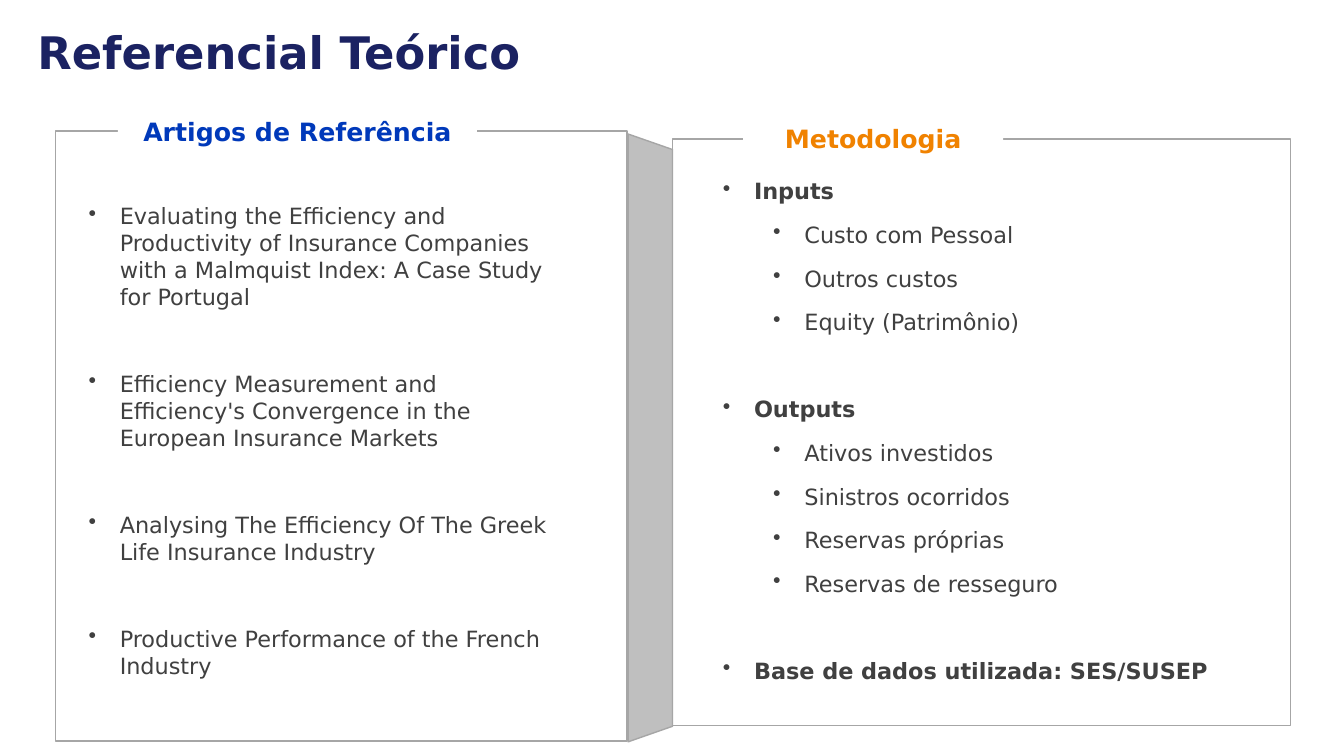
from dataclasses import dataclass

from lxml.etree import SubElement
from pptx import Presentation
from pptx.dml.color import RGBColor
from pptx.enum.shapes import MSO_SHAPE
from pptx.enum.text import MSO_ANCHOR, PP_ALIGN
from pptx.oxml.ns import qn
from pptx.util import Inches, Pt


@dataclass(frozen=True)
class Theme:
    font: str = "DejaVu Sans"
    navy: str = "1B2262"
    blue: str = "0039BA"
    orange: str = "F08200"
    ink: str = "404040"
    edge: str = "A6A6A6"
    side: str = "BFBFBF"
    white: str = "FFFFFF"
    title: int = 32
    head: int = 18
    body: int = 16
    gap: int = 6
    group_gap: int = 37


THEME = Theme()

ARTICLES = [
    "Evaluating the Efficiency and Productivity of Insurance Companies "
    "with a Malmquist Index: A Case Study for Portugal",
    "Efficiency Measurement and Efficiency's Convergence in the "
    "European Insurance Markets",
    "Analysing The Efficiency Of The Greek Life Insurance Industry",
    "Productive Performance of the French Industry",
]
METHOD = [
    ("Inputs", ["Custo com Pessoal", "Outros custos", "Equity (Patrimônio)"]),
    ("Outputs", ["Ativos investidos", "Sinistros ocorridos",
                 "Reservas próprias", "Reservas de resseguro"]),
    ("Base de dados utilizada: SES/SUSEP", []),
]


def apply(target, values):
    for name, value in values.items():
        setattr(target, name, value)


def write(para, text, size, color, bold=False):
    run = para.add_run()
    run.text = text
    apply(run.font, {"name": THEME.font, "size": Pt(size), "bold": bold})
    run.font.color.rgb = RGBColor.from_string(color)


def add_block(slide, kind, box, fill=None, line=None):
    shape = slide.shapes.add_shape(kind, *map(Inches, box))
    shape.shadow.inherit = False
    if fill:
        shape.fill.solid()
        shape.fill.fore_color.rgb = RGBColor.from_string(fill)
    else:
        shape.fill.background()
    if line:
        shape.line.color.rgb = RGBColor.from_string(line)
        shape.line.width = Pt(1)
    else:
        shape.line.fill.background()
    return shape


def add_title(slide, box, text):
    title = slide.shapes.title
    apply(title, dict(zip(("left", "top", "width", "height"),
                          map(Inches, box))))
    apply(title.text_frame, {"word_wrap": True,
                             "vertical_anchor": MSO_ANCHOR.MIDDLE})
    para = title.text_frame.paragraphs[0]
    para.alignment = PP_ALIGN.LEFT
    write(para, text, THEME.title, THEME.navy, True)


def add_panel(slide, box, label_box, label, color):
    """Draw a frame whose top edge is broken by a label, set relative to it."""
    left, top, _, _ = box
    dx, dy, wide, high = label_box
    add_block(slide, MSO_SHAPE.RECTANGLE, box, line=THEME.edge)
    patch = add_block(slide, MSO_SHAPE.RECTANGLE,
                      (left + dx, top + dy, wide, high), THEME.white)
    patch.text_frame.vertical_anchor = MSO_ANCHOR.MIDDLE
    para = patch.text_frame.paragraphs[0]
    para.alignment = PP_ALIGN.CENTER
    write(para, label, THEME.head, color, True)


def add_fold(slide, box):
    """Fill a tall box with a side face that narrows to the right."""
    left, top, wide, high = box
    shift = (high - wide) / 2
    fold = add_block(slide, MSO_SHAPE.TRAPEZOID,
                     (left - shift, top + shift, high, wide),
                     THEME.side, THEME.edge)
    fold.rotation = 90
    fold.adjustments[0] = 0.35


def add_bullets(slide, box, items):
    """Write (text, level, bold, space before) items as a bulleted list."""
    frame = slide.shapes.add_textbox(*map(Inches, box)).text_frame
    frame.word_wrap = True
    for i, (text, level, bold, before) in enumerate(items):
        para = frame.add_paragraph() if i else frame.paragraphs[0]
        apply(para, {"level": level, "space_before": Pt(before),
                     "space_after": Pt(THEME.gap)})
        props = para._p.get_or_add_pPr()
        props.set("marL", str(Inches(0.31 + 0.5 * level)))
        props.set("indent", str(Inches(-0.31)))
        SubElement(props, qn("a:buChar")).set("char", "•")
        write(para, text, THEME.body, THEME.ink, bold)


def lead(index):
    return THEME.group_gap if index else THEME.gap


def add_articles(slide, box):
    left, top, _, _ = box
    add_panel(slide, box, (0.62, -0.2, 3.56, 0.4),
              "Artigos de Referência", THEME.blue)
    add_bullets(slide, (left + 0.23, top + 0.66, 4.93, 5.05),
                [(text, 0, False, lead(i)) for i, text in enumerate(ARTICLES)])


def add_method(slide, box):
    left, top, _, _ = box
    add_panel(slide, box, (0.7, -0.21, 2.58, 0.4),
              "Metodologia", THEME.orange)
    items = []
    for i, (group, parts) in enumerate(METHOD):
        items.append((group, 0, True, lead(i)))
        items += [(part, 1, False, THEME.gap) for part in parts]
    add_bullets(slide, (left + 0.4, top + 0.33, 5.71, 5.18), items)


def main():
    deck = Presentation()
    apply(deck, {"slide_width": Inches(13.33), "slide_height": Inches(7.5)})
    slide = deck.slides.add_slide(deck.slide_layouts[5])
    add_title(slide, (0.27, 0.19, 7.67, 0.64), "Referencial Teórico")
    add_method(slide, (6.67, 1.38, 6.13, 5.82))
    add_fold(slide, (6.23, 1.33, 0.44, 6.03))
    add_articles(slide, (0.55, 1.3, 5.67, 6.05))
    deck.save("out.pptx")


if __name__ == "__main__":
    main()
